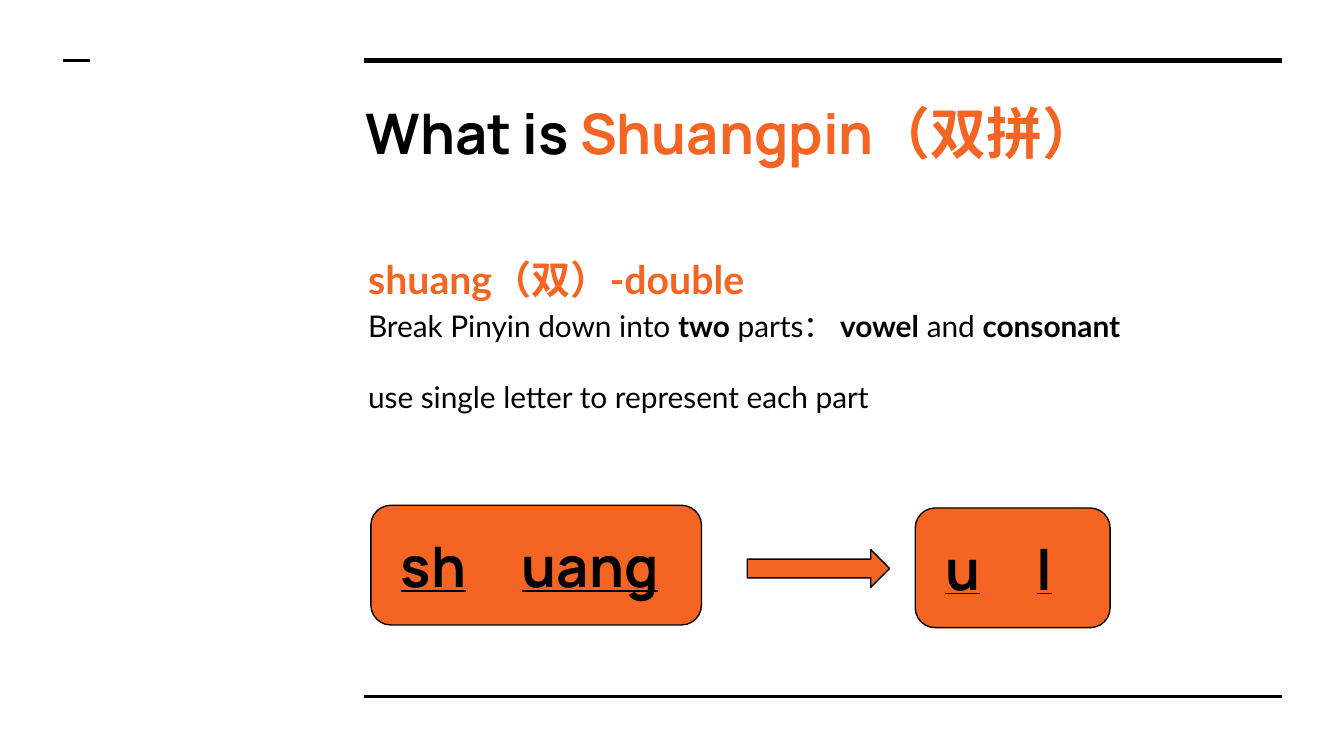
from collections import namedtuple

from lxml.etree import SubElement
from pptx import Presentation
from pptx.dml.color import RGBColor
from pptx.enum.shapes import MSO_CONNECTOR, MSO_SHAPE
from pptx.enum.text import MSO_ANCHOR, MSO_AUTO_SIZE, PP_ALIGN
from pptx.oxml.ns import qn
from pptx.util import Inches, Pt

Theme = namedtuple("Theme", "ink accent head body large mid small")
theme = Theme(
    ink=RGBColor(0x00, 0x00, 0x00), accent=RGBColor(0xF4, 0x65, 0x24),
    head="Manrope", body="Lato", large=Pt(30), mid=Pt(21), small=Pt(16),
)

deck = Presentation()
deck.slide_width, deck.slide_height = Inches(10), Inches(5.625)
slide = deck.slides.add_slide(deck.slide_layouts[5])
shapes = slide.shapes
unit = deck.slide_width / 100  # square grid, 100 columns wide


def grid(*cells):
    return [round(cell * unit) for cell in cells]


def write(para, parts, font, size):
    """Add (text, colour, bold, underline) parts as runs."""
    for text, color, bold, under in parts:
        run = para.add_run()
        run.text = text
        run.font.name, run.font.size = font, size
        run.font.color.rgb = color
        run.font.bold, run.font.underline = bold, under


# Rules: left, right, row, weight
for left, right, row, weight in [
    (27.1, 95.4, 4.5, 3), (27.1, 95.4, 51.8, 1.5), (4.7, 6.7, 4.5, 1.5),
]:
    rule = shapes.add_connector(MSO_CONNECTOR.STRAIGHT, *grid(left, row, right, row))
    rule.line.color.rgb, rule.line.width = theme.ink, Pt(weight)
    SubElement(rule.element.spPr, qn("a:effectLst"))

# Title and body text
title = shapes.title
title.left, title.top, title.width, title.height = grid(26.2, 6.3, 69.1, 6.9)
body = shapes.add_textbox(*grid(26.4, 17.5, 69.1, 32.8))
for box in (title, body):
    frame = box.text_frame
    frame.word_wrap, frame.auto_size = True, MSO_AUTO_SIZE.NONE
    frame.vertical_anchor = MSO_ANCHOR.TOP
    frame.margin_left = frame.margin_right = Inches(0.1)
    frame.margin_top = frame.margin_bottom = Inches(0.1)

para = title.text_frame.paragraphs[0]
para.alignment = PP_ALIGN.LEFT
write(para, [("What is ", theme.ink, True, False),
             ("Shuangpin（双拼）", theme.accent, True, False)], theme.head, theme.large)

lines = [
    (theme.mid, theme.accent, 0, [("shuang（双）-double", True)]),
    (theme.small, theme.ink, 0, [
        ("Break Pinyin down into ", False), ("two", True), (" parts： ", False),
        ("vowel", True), (" and ", False), ("consonant", True)]),
    (theme.small, theme.ink, 16, [("use single letter to represent each part", False)]),
]
for i, (size, color, gap, parts) in enumerate(lines):
    para = body.text_frame.add_paragraph() if i else body.text_frame.paragraphs[0]
    para.line_spacing, para.space_before = 1.15, Pt(gap)
    write(para, [(text, color, bold, False) for text, bold in parts], theme.body, size)

# Syllable, arrow, key pair: kind, place, two words, tab stop of the second
for kind, place, words, stop in [
    (MSO_SHAPE.ROUNDED_RECTANGLE, (27.6, 37.6, 24.6, 8.9), ("sh", "uang"), 9),
    (MSO_SHAPE.RIGHT_ARROW, (55.6, 40.9, 10.6, 2.8), (), 0),
    (MSO_SHAPE.ROUNDED_RECTANGLE, (68.1, 37.8, 14.5, 8.9), ("u", "l"), 6.8),
]:
    shape = shapes.add_shape(kind, *grid(*place))
    shape.shadow.inherit = False
    shape.fill.solid()
    shape.fill.fore_color.rgb = theme.accent
    shape.line.color.rgb, shape.line.width = theme.ink, Pt(0.75)
    if not words:
        continue
    frame = shape.text_frame
    frame.margin_left, frame.margin_right = Inches(0.18), Inches(0.1)
    frame.margin_top = frame.margin_bottom = Inches(0.1)
    frame.vertical_anchor = MSO_ANCHOR.MIDDLE
    para = frame.paragraphs[0]
    para.alignment = PP_ALIGN.LEFT
    tabs = SubElement(para._p.get_or_add_pPr(), qn("a:tabLst"))
    SubElement(tabs, qn("a:tab"), pos=str(grid(stop)[0]), algn="l")
    first, second = words
    write(para, [(first, theme.ink, True, True), ("\t", theme.ink, True, False),
                 (second, theme.ink, True, True)], theme.head, theme.large)

deck.save("out.pptx")
